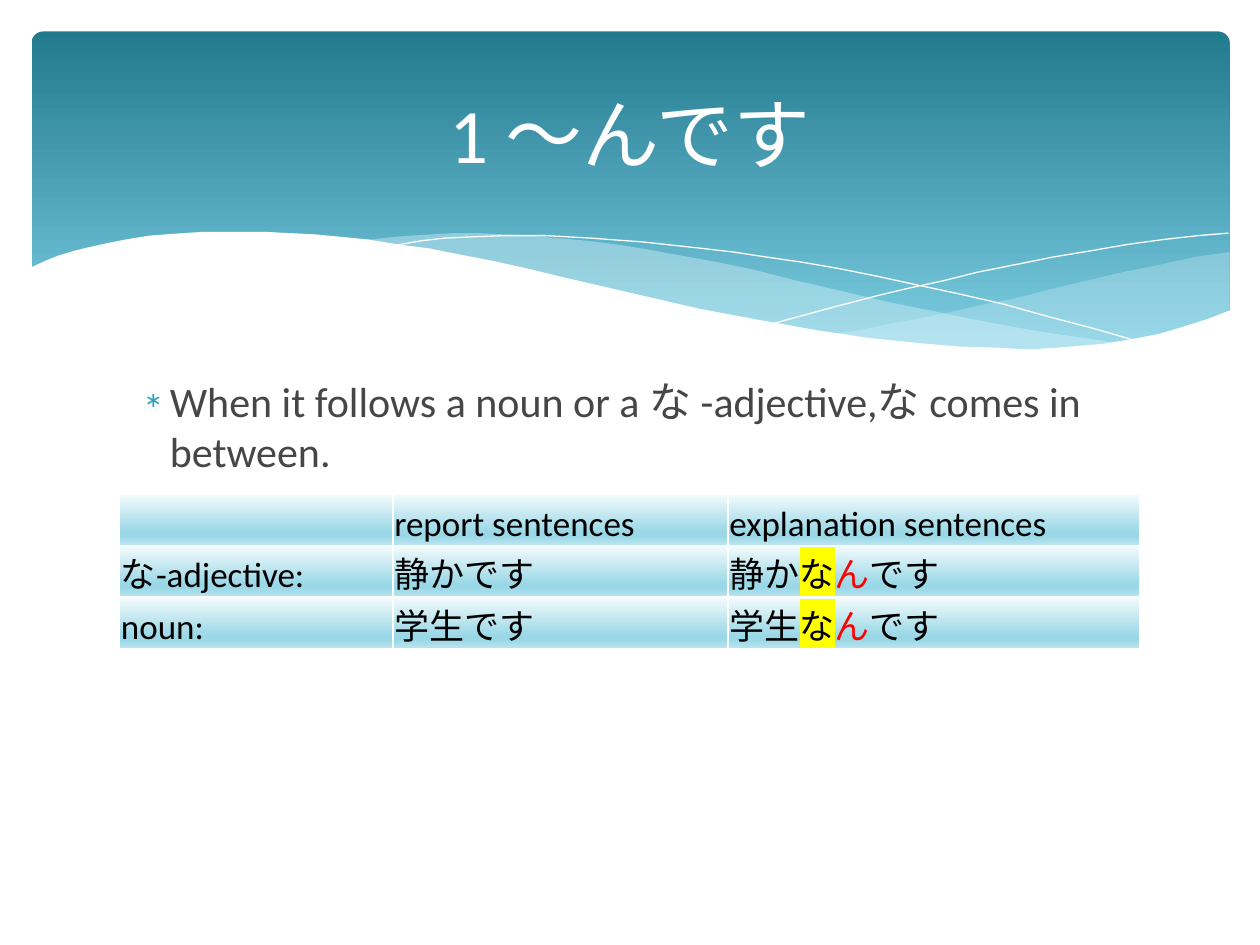
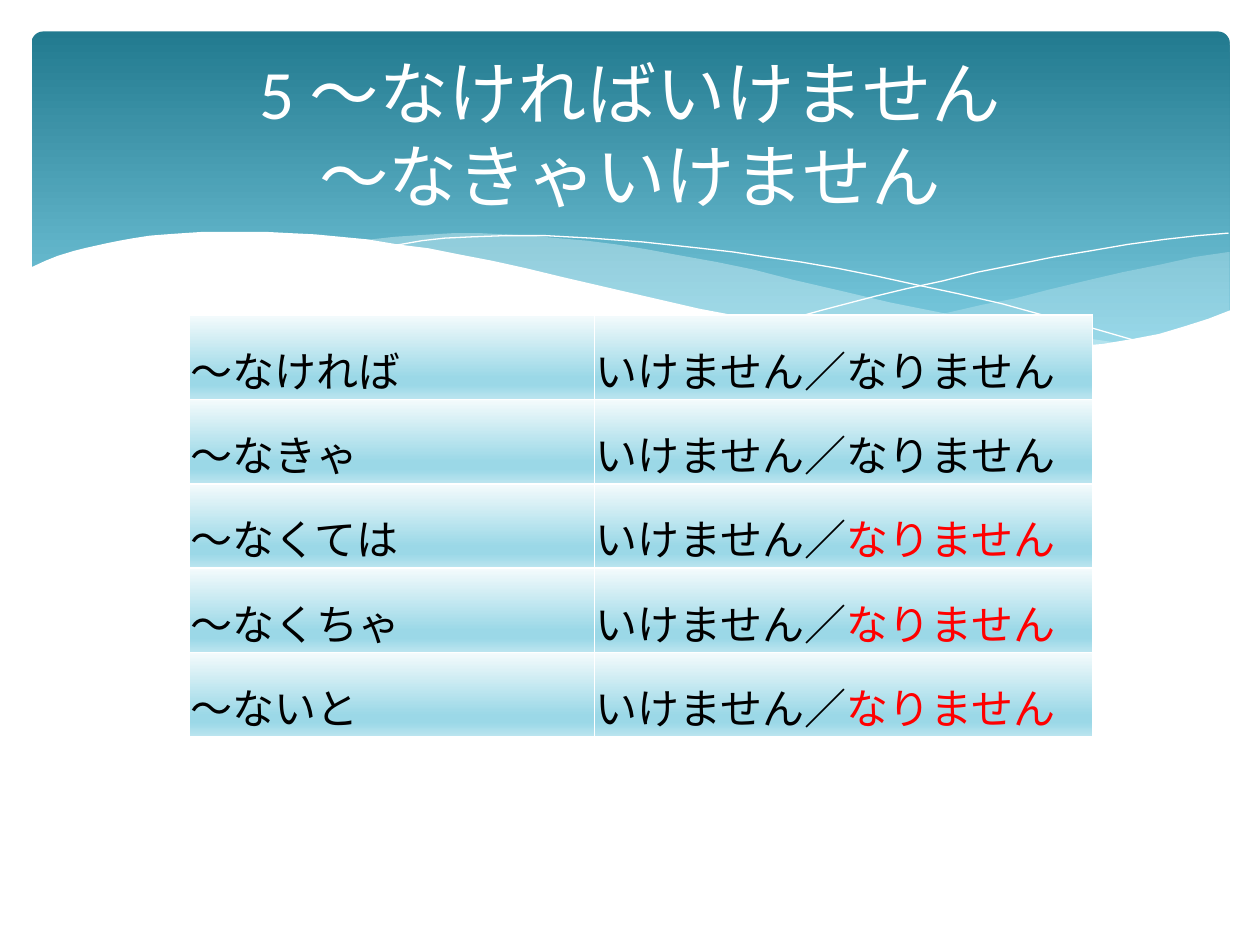
from lxml import etree
from pptx import Presentation
from pptx.dml.color import RGBColor
from pptx.enum.shapes import MSO_SHAPE
from pptx.enum.text import MSO_ANCHOR, PP_ALIGN
from pptx.oxml.ns import qn
from pptx.util import Pt

ROUNDED = MSO_SHAPE.ROUNDED_RECTANGLE
MIDDLE, BOTTOM = MSO_ANCHOR.MIDDLE, MSO_ANCHOR.BOTTOM
CENTER = PP_ALIGN.CENTER

PX = 9144
FONT = "Calibri"
WHITE = RGBColor(0xFF, 0xFF, 0xFF)
BLACK = RGBColor(0x00, 0x00, 0x00)
RED = RGBColor(0xFF, 0x00, 0x00)
YELLOW = RGBColor(0xFF, 0xFF, 0x00)
GREY = RGBColor(0x46, 0x46, 0x46)
TEAL = RGBColor(0x2D, 0xA2, 0xBF)
MIST = RGBColor(0xDE, 0xF5, 0xFA)
BAND_STOPS = [(0, RGBColor(0x22, 0x7A, 0x8F)), (90, RGBColor(0x7A, 0xCB, 0xE0))]
CELL_STOPS = [
    (0, RGBColor(0xF4, 0xFB, 0xFC)),
    (74, RGBColor(0x9B, 0xD8, 0xE7)),
    (83, RGBColor(0x9B, 0xD8, 0xE7)),
    (100, RGBColor(0xBC, 0xE5, 0xEF)),
]

RIGHT_SWELL = [
    (975, 200), (948, 204), (921, 210), (891, 216), (861, 223), (832, 230),
    (805, 237), (779, 242), (753, 248), (729, 253), (706, 257), (683, 262),
    (661, 265), (691, 269), (719, 272), (745, 275), (769, 277), (792, 277),
    (814, 278), (835, 277), (854, 276), (872, 274), (889, 272), (905, 269),
    (921, 265), (935, 262), (949, 257), (963, 252), (976, 247), (976, 200),
]
LONG_SWELL = [
    (893, 273), (866, 269), (837, 265), (807, 260), (775, 254), (741, 247),
    (706, 240), (668, 231), (629, 222), (598, 214), (569, 208), (541, 203),
    (514, 198), (489, 194), (465, 191), (442, 189), (420, 187), (399, 186),
    (380, 185), (361, 185), (344, 186), (328, 187), (313, 188), (286, 191),
    (323, 196), (362, 203), (404, 211), (449, 222), (491, 232), (530, 240),
    (566, 248), (601, 255), (634, 261), (665, 266), (695, 270), (722, 274),
    (748, 276), (773, 277), (796, 278), (818, 278), (838, 278), (857, 277),
    (876, 275), (893, 273),
]
FALLING_LINE = [
    (309, 195), (318, 194), (335, 191), (353, 189), (374, 188), (401, 187),
    (433, 187), (469, 189), (510, 192), (556, 197), (582, 200), (608, 204),
    (636, 208), (665, 213), (695, 219), (727, 226), (760, 233), (795, 241),
    (831, 251), (869, 261), (907, 272),
]
RISING_LINE = [
    (613, 257), (653, 246), (695, 235), (720, 229), (748, 223), (776, 216),
    (806, 210), (836, 204), (866, 199), (895, 194), (924, 190), (951, 187),
    (975, 185),
]
WHITE_HILL = [
    (977, 246), (959, 253), (940, 259), (920, 265), (899, 269), (875, 273),
    (850, 275), (823, 277), (809, 277), (793, 276), (761, 275), (726, 272),
    (688, 268), (648, 262), (603, 254), (555, 245), (503, 233), (447, 220),
    (418, 213), (391, 207), (365, 202), (340, 197), (316, 194), (292, 190),
    (271, 188), (250, 186), (230, 185), (211, 184), (177, 184), (161, 184),
    (146, 185), (132, 186), (119, 187), (106, 189), (95, 191), (85, 193),
    (76, 195), (67, 197), (59, 199), (46, 203), (36, 207), (23, 213),
    (23, 329), (977, 329),
]


def add_child(parent, tag, **attributes):
    return etree.SubElement(parent, qn(tag), attributes)


def add_color(parent, color):
    return add_child(parent, "a:srgbClr", val=str(color))


class Deck:
    def __init__(self, width, height):
        self.prs = Presentation()
        self.prs.slide_width, self.prs.slide_height = width * PX, height * PX

    def new_slide(self):
        self.slide = self.prs.slides.add_slide(self.prs.slide_layouts[6])
        self.shapes = self.slide.shapes
        self.band()
        self.wave(RIGHT_SWELL, MIST, 29)
        self.wave(LONG_SWELL, MIST, 40)
        self.hairline(FALLING_LINE)
        self.hairline(RISING_LINE)
        self.wave(WHITE_HILL, WHITE)

    def gradient(self, fill, properties, stops):
        fill.background()
        blank = properties.find(qn("a:noFill"))
        gradient = etree.Element(qn("a:gradFill"), rotWithShape="1")
        stop_list = add_child(gradient, "a:gsLst")
        for position, color in stops:
            add_color(add_child(stop_list, "a:gs", pos=str(position * 1000)), color)
        add_child(gradient, "a:lin", ang="5400000", scaled="0")
        properties.replace(blank, gradient)

    def band(self):
        band = self.shapes.add_shape(ROUNDED, *(v * PX for v in (25, 25, 951, 270)))
        band.adjustments[0] = 0.034
        band.shadow.inherit = False
        band.line.fill.background()
        self.gradient(band.fill, band.element.spPr, BAND_STOPS)

    def outline(self, points, close):
        builder = self.shapes.build_freeform(*points[0], scale=PX)
        builder.add_line_segments(points[1:], close=close)
        outline = builder.convert_to_shape()
        outline.shadow.inherit = False
        return outline

    def wave(self, points, color, opacity=100):
        wave = self.outline(points, True)
        wave.line.fill.background()
        wave.fill.solid()
        wave.fill.fore_color.rgb = color
        if opacity < 100:
            tint = wave.element.spPr.find(qn("a:solidFill"))[0]
            add_child(tint, "a:alpha", val=str(opacity * 1000))

    def hairline(self, points):
        hairline = self.outline(points, False)
        hairline.fill.background()
        hairline.line.color.rgb = WHITE
        hairline.line.width = Pt(0)

    def style(self, run, size, color, highlight=None, east_asian=False):
        run.font.size = Pt(size)
        run.font.color.rgb = color
        run.font.name = FONT
        latin = run.font._element.find(qn("a:latin"))
        if highlight:
            marker = etree.Element(qn("a:highlight"))
            add_color(marker, highlight)
            latin.addprevious(marker)
        if east_asian:
            latin.addnext(etree.Element(qn("a:ea"), typeface=FONT))

    def text(self, box, words, size, color):
        frame = self.shapes.add_textbox(*(v * PX for v in box)).text_frame
        frame.word_wrap = True
        frame.text = words
        paragraph = frame.paragraphs[0]
        for run in paragraph.runs:
            self.style(run, size, color, east_asian=True)
        return frame, paragraph

    def title(self, words, size):
        frame, paragraph = self.text((50, 37, 900, 137), words, size, WHITE)
        frame.vertical_anchor = MIDDLE
        paragraph.alignment = CENTER

    def bullet(self, words):
        _, paragraph = self.text((95, 293, 810, 377), words, 24, GREY)
        properties = paragraph._p.get_or_add_pPr()
        properties.set("marL", str(30 * PX))
        properties.set("indent", str(-20 * PX))
        add_color(add_child(properties, "a:buClr"), TEAL)
        add_child(properties, "a:buSzPct", val="50000")
        add_child(properties, "a:buFont", typeface=FONT)
        add_child(properties, "a:buChar", char="∗")

    def table(self, left, top, widths, row_height, rows, size):
        frame = self.shapes.add_table(
            len(rows), len(widths), left * PX, top * PX,
            sum(widths) * PX, row_height * len(rows) * PX)
        table = frame.table
        table.first_row = table.horz_banding = False
        for column, width in zip(table.columns, widths):
            column.width = width * PX
        for table_row, row in zip(table.rows, rows):
            table_row.height = row_height * PX
            for cell, parts in zip(table_row.cells, row):
                self.cell(cell, parts, size)

    def cell(self, cell, parts, size):
        properties = cell._tc.get_or_add_tcPr()
        self.gradient(cell.fill, properties, CELL_STOPS)
        for index, side in enumerate(("a:lnL", "a:lnR", "a:lnT", "a:lnB")):
            border = etree.Element(qn(side), w=str(Pt(1)))
            add_color(add_child(border, "a:solidFill"), WHITE)
            properties.insert(index, border)
        if not parts:
            return
        cell.vertical_anchor = BOTTOM
        cell.margin_left = cell.margin_right = cell.margin_top = PX
        cell.margin_bottom = 0
        for words, *look in parts:
            run = cell.text_frame.paragraphs[0].add_run()
            run.text = words
            self.style(run, size, *(look or [BLACK]))


def explained(word):
    return [(word,), ("な", BLACK, YELLOW), ("ん", RED), ("です",)]


def obligation(condition, ending_color):
    return [[(condition,)], [("いけません／",), ("なりません", ending_color)]]


def main():
    deck = Deck(1000, 750)

    deck.new_slide()
    deck.bullet("When it follows a noun or a な -adjective,な comes in between.")
    deck.title("1 ～んです", 44)
    sentence_forms = [
        [[], [("report sentences",)], [("explanation sentences",)]],
        [[("な-adjective:",)], [("静かです",)], explained("静か")],
        [[("noun:",)], [("学生です",)], explained("学生")],
    ]
    deck.table(95, 392, (217, 266, 327), 41, sentence_forms, 20)

    deck.new_slide()
    obligations = [
        obligation("～なければ", BLACK),
        obligation("～なきゃ", BLACK),
        obligation("～なくては", RED),
        obligation("～なくちゃ", RED),
        obligation("～ないと", RED),
    ]
    deck.table(150, 250, (322, 395), 67, obligations, 24)
    deck.title("5 ～なければいけません\v～なきゃいけません", 39.6)

    deck.prs.save("out.pptx")


if __name__ == "__main__":
    main()
